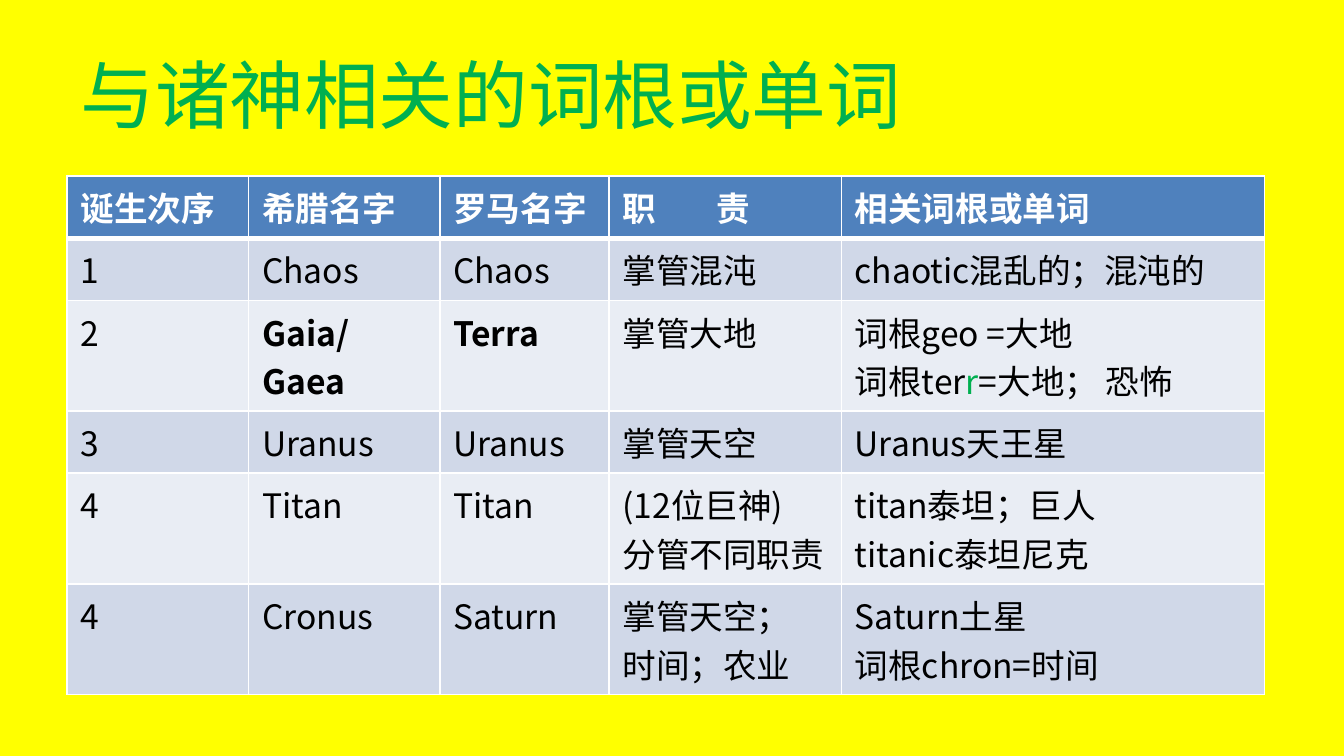
from lxml.etree import SubElement
from pptx import Presentation
from pptx.dml.color import RGBColor
from pptx.enum.text import MSO_ANCHOR, PP_ALIGN
from pptx.oxml.ns import qn
from pptx.util import Cm, Pt

# Content: newline starts a paragraph, |bars| enclose highlighted letters
TITLE = "与诸神相关的词根或单词"
HEADER = ["诞生次序", "希腊名字", "罗马名字", "职\t责", "相关词根或单词"]
GODS = [
    ["1", "Chaos", "Chaos", "掌管混沌", "chaotic混乱的；混沌的"],
    ["2", "Gaia/Gaea", "Terra", "掌管大地", "词根geo =大地\n词根ter|r|=大地； 恐怖"],
    ["3", "Uranus", "Uranus", "掌管天空", "Uranus天王星"],
    ["4", "Titan", "Titan", "(12位巨神)\n分管不同职责", "titan泰坦；巨人\ntitanic泰坦尼克"],
    ["4", "Cronus", "Saturn", "掌管天空；\n时间；农业", "Saturn土星\n词根chron=时间"],
]
BOLD_NAMES = {"Gaia/Gaea", "Terra"}

# Look
FONT = "Noto Sans CJK SC"
YELLOW, GREEN, BLUE, WHITE, BLACK = "FFFF00", "00B050", "4F81BD", "FFFFFF", "000000"
BANDS = ["E9EDF4", "D0D8E8"]
COLUMN_WIDTHS = [3.43, 3.61, 3.2, 4.39, 8]
ROW_HEIGHT = 1.14
HEADER_TAB = 1.78


def paint(fill, colour):
    fill.solid()
    fill.fore_color.rgb = RGBColor.from_string(colour)


def add_run(paragraph, text, size, colour, bold=False):
    run = paragraph.add_run()
    run.text = text
    for name, value in {"name": FONT, "size": Pt(size), "bold": bold}.items():
        setattr(run.font, name, value)
    run.font.color.rgb = RGBColor.from_string(colour)
    SubElement(run.font._element, qn("a:ea"), typeface=FONT)


def add_borders(cell, row):
    heavy = {0: "lnB", 1: "lnT"}.get(row)
    for side in ("lnL", "lnR", "lnT", "lnB"):
        width = Pt(3 if side == heavy else 1)
        line = SubElement(cell._tc.get_or_add_tcPr(), qn(f"a:{side}"), w=str(width))
        SubElement(SubElement(line, qn("a:solidFill")), qn("a:srgbClr"), val=WHITE)


def write_cell(cell, content, colour, bold):
    for index, line in enumerate(content.split("\n")):
        frame = cell.text_frame
        paragraph = frame.add_paragraph() if index else frame.paragraphs[0]
        if "\t" in line:
            tabs = SubElement(paragraph._p.get_or_add_pPr(), qn("a:tabLst"))
            SubElement(tabs, qn("a:tab"), pos=str(Cm(HEADER_TAB)), algn="l")
        for position, piece in enumerate(line.split("|")):
            add_run(paragraph, piece, 18, GREEN if position % 2 else colour, bold)


# Slide and background
deck = Presentation()
deck.slide_width, deck.slide_height = Cm(25.4), Cm(14.29)
slide = deck.slides.add_slide(deck.slide_layouts[5])
paint(slide.background.fill, YELLOW)

# Title
title = slide.shapes.title
place = {"left": 1.27, "top": 0.58, "width": 22.86, "height": 2.39}
for name, value in place.items():
    setattr(title, name, Cm(value))
title.text_frame.vertical_anchor = MSO_ANCHOR.MIDDLE
heading = title.text_frame.paragraphs[0]
heading.alignment = PP_ALIGN.LEFT
add_run(heading, TITLE, 40, GREEN)

# Table of gods
rows = [HEADER] + GODS
table = slide.shapes.add_table(
    len(rows), len(HEADER), Cm(1.27), Cm(3.33),
    Cm(sum(COLUMN_WIDTHS)), Cm(ROW_HEIGHT * len(rows)),
).table
for column, width in zip(table.columns, COLUMN_WIDTHS):
    column.width = Cm(width)
for r, contents in enumerate(rows):
    is_header = r == 0
    for c, content in enumerate(contents):
        cell = table.cell(r, c)
        add_borders(cell, r)
        paint(cell.fill, BLUE if is_header else BANDS[r % 2])
        write_cell(cell, content, WHITE if is_header else BLACK,
                   is_header or content in BOLD_NAMES)

deck.save("out.pptx")
